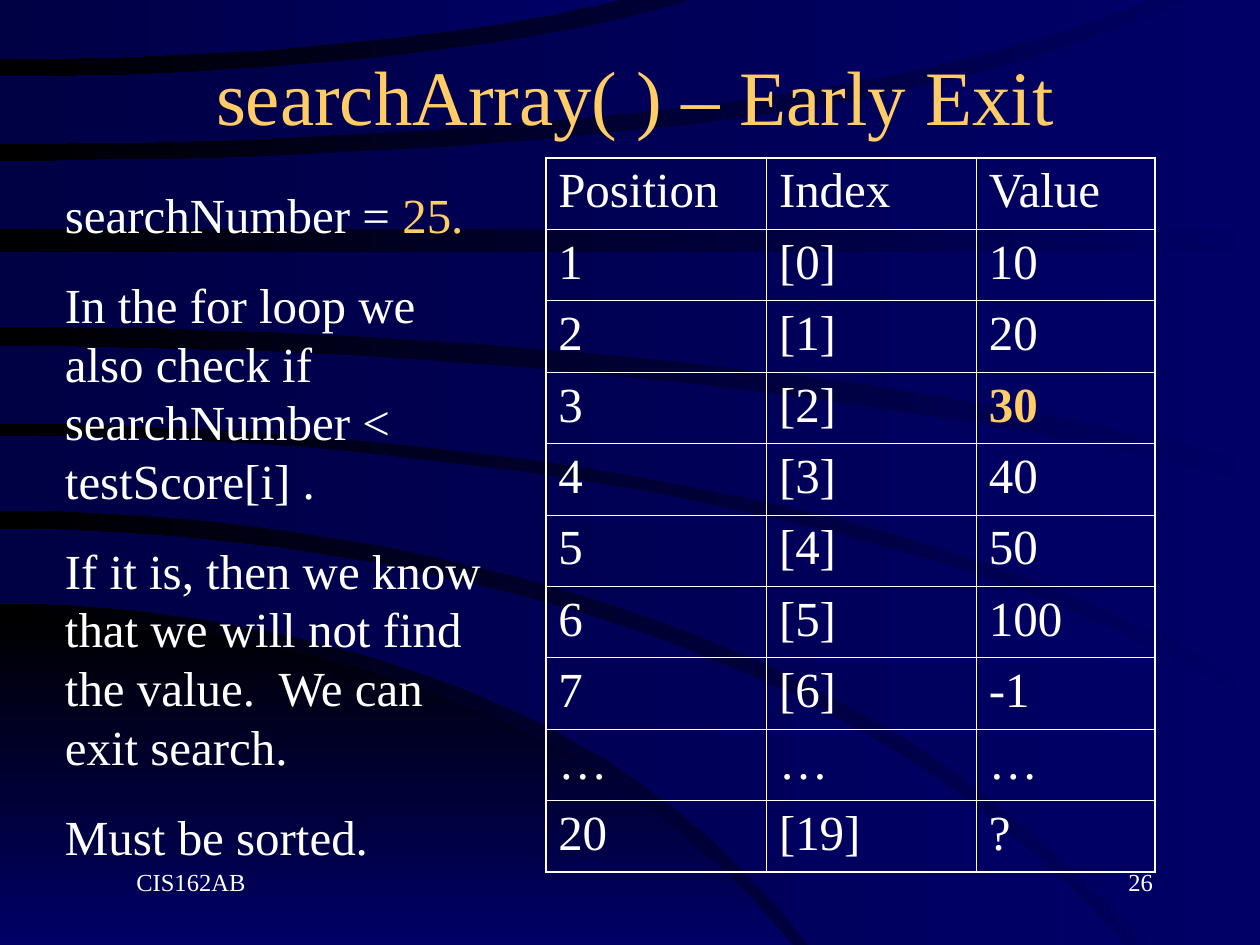
from lxml import etree
from pptx import Presentation
from pptx import util as u
from pptx.dml.color import RGBColor
from pptx.enum import text
from pptx.oxml import ns

COLORS = {"navy": "000066", "deep": "000044", "black": "000000",
          "white": "FFFFFF", "gold": "FFCC66"}
FACE = "Times New Roman"


def shade(fill, start, end, angle):
    fill.gradient()
    fill.gradient_angle = angle
    for stop, color, position in zip(fill.gradient_stops, (start, end), (0, 1)):
        stop.color.rgb = RGBColor.from_string(COLORS[color])
        stop.position = position


def style(font, size, color="white"):
    font.name = FACE
    font.size = u.Pt(size)
    font.color.rgb = RGBColor.from_string(COLORS[color])


deck = Presentation()
deck.slide_width, deck.slide_height = u.Cm(25.4), u.Cm(19.05)
slide = deck.slides.add_slide(deck.slide_layouts[5])
shade(slide.background.fill, "navy", "black", 180)

sweeps = [
    [(491, 629, 750, 0.75), (750, 629, 750, 1)],
    [(420, 893, 750, 0.74), (479, 642, 750, 0.73)],
    [(346, 1000, 562, 0.77), (405, 909, 750, 0.74)],
    [(275, 1000, 385, 0.89), (336, 1000, 548, 0.76)],
    [(200, 1000, 200, 1), (259, 1000, 368, 0.87)],
    [(128, 943, -2, 0.61), (182, 1000, 182, 1)],
    [(61, 556, -2, 0.81), (114, 917, -2, 0.67)],
    [(-2, 501, -2, 1), (47, 501, -2, 0.87)],
]
steps = 24
for i, edges in enumerate(sweeps):
    upper, lower = [
        [(right * s / steps,
          y + (end - y) * (bend * (s / steps) ** 2 + (1 - bend) * (s / steps) ** 6))
         for s in range(steps + 1)]
        for y, right, end, bend in edges]
    tips = [upper[-1], lower[-1]]
    corner = (max(tips)[0], min(tips)[1])
    outline = upper + [corner] + lower[::-1]
    builder = slide.shapes.build_freeform(*outline[0], scale=u.Cm(2.54) / 100)
    builder.add_line_segments(outline[1:], close=True)
    sweep = builder.convert_to_shape()
    if i == 0:
        shade(sweep.fill, "black", "navy", 270)
    else:
        shade(sweep.fill, "navy", "deep", 180)
    sweep.line.fill.background()
    sweep.shadow.inherit = False

title = slide.shapes.title
slide.shapes._spTree.append(title._element)
title.left, title.top, title.width, title.height = (
    u.Cm(1.06), u.Cm(0.85), u.Cm(23.5), u.Cm(2.12))
title.text_frame.text = "searchArray( ) – Early Exit"
title.text_frame.vertical_anchor = text.MSO_ANCHOR.MIDDLE
title.text_frame.paragraphs[0].alignment = text.PP_ALIGN.CENTER
style(title.text_frame.paragraphs[0].font, 44, "gold")

values = ["10", "20", "30", "40", "50", "100", "-1"]
rows = [("Position", "Index", "Value")]
rows += [(str(i + 1), f"[{i}]", value) for i, value in enumerate(values)]
rows += [("…", "…", "…"), ("20", "[19]", "?")]
widths = [4.45, 4.23, 3.6]
scores = slide.shapes.add_table(len(rows), len(widths), u.Cm(11), u.Cm(3.18),
                                u.Cm(sum(widths)), u.Cm(14.4)).table
scores.first_row = scores.horz_banding = False
for column, width in zip(scores.columns, widths):
    column.width = u.Cm(width)
for r, row in enumerate(rows):
    scores.rows[r].height = u.Cm(1.44)
    for c, entry in enumerate(row):
        cell = scores.cell(r, c)
        cell.text = entry
        line = cell.text_frame.paragraphs[0]
        line.space_before = u.Pt(7)
        found = entry == "30"
        style(line.font, 28, "gold" if found else "white")
        line.font.bold = found
        outer = {"a:lnL": c == 0, "a:lnR": c == len(widths) - 1,
                 "a:lnT": r == 0, "a:lnB": r == len(rows) - 1}
        props = cell._tc.get_or_add_tcPr()
        for side, is_outer in outer.items():
            border = etree.SubElement(props, ns.qn(side),
                                      w=str(u.Pt(1.08 if is_outer else 0.45)))
            ink = etree.SubElement(border, ns.qn("a:solidFill"))
            etree.SubElement(ink, ns.qn("a:srgbClr"), val=COLORS["white"])
        cell.fill.background()

notes = [
    [("searchNumber = ", "white"), ("25.", "gold")],
    [("In the for loop we also check if searchNumber < testScore[i] .", "white")],
    [("If it is, then we know that we will not find the value.  "
      "We can exit search.", "white")],
    [("Must be sorted.", "white")],
]
explanation = slide.shapes.add_textbox(u.Cm(1.06), u.Cm(3.6), u.Cm(9.31),
                                       u.Cm(13.97)).text_frame
explanation.word_wrap = True
explanation.auto_size = text.MSO_AUTO_SIZE.SHAPE_TO_FIT_TEXT
for i, note in enumerate(notes):
    point = explanation.add_paragraph() if i else explanation.paragraphs[0]
    point.space_before = u.Pt(17.5)
    for words, color in note:
        run = point.add_run()
        run.text = words
        style(run.font, 28, color)

for left, label, align in [(18.2, "26", text.PP_ALIGN.RIGHT),
                           (1.9, "CIS162AB", text.PP_ALIGN.LEFT)]:
    footer = slide.shapes.add_textbox(u.Cm(left), u.Cm(17.36), u.Cm(5.29),
                                      u.Cm(1.27)).text_frame
    footer.word_wrap = True
    footer.text = label
    mark = footer.paragraphs[0]
    mark.alignment = align
    mark._p.get_or_add_pPr().set("marL", str(u.Cm(0.6)))
    style(mark.font, 14)

deck.save("out.pptx")
